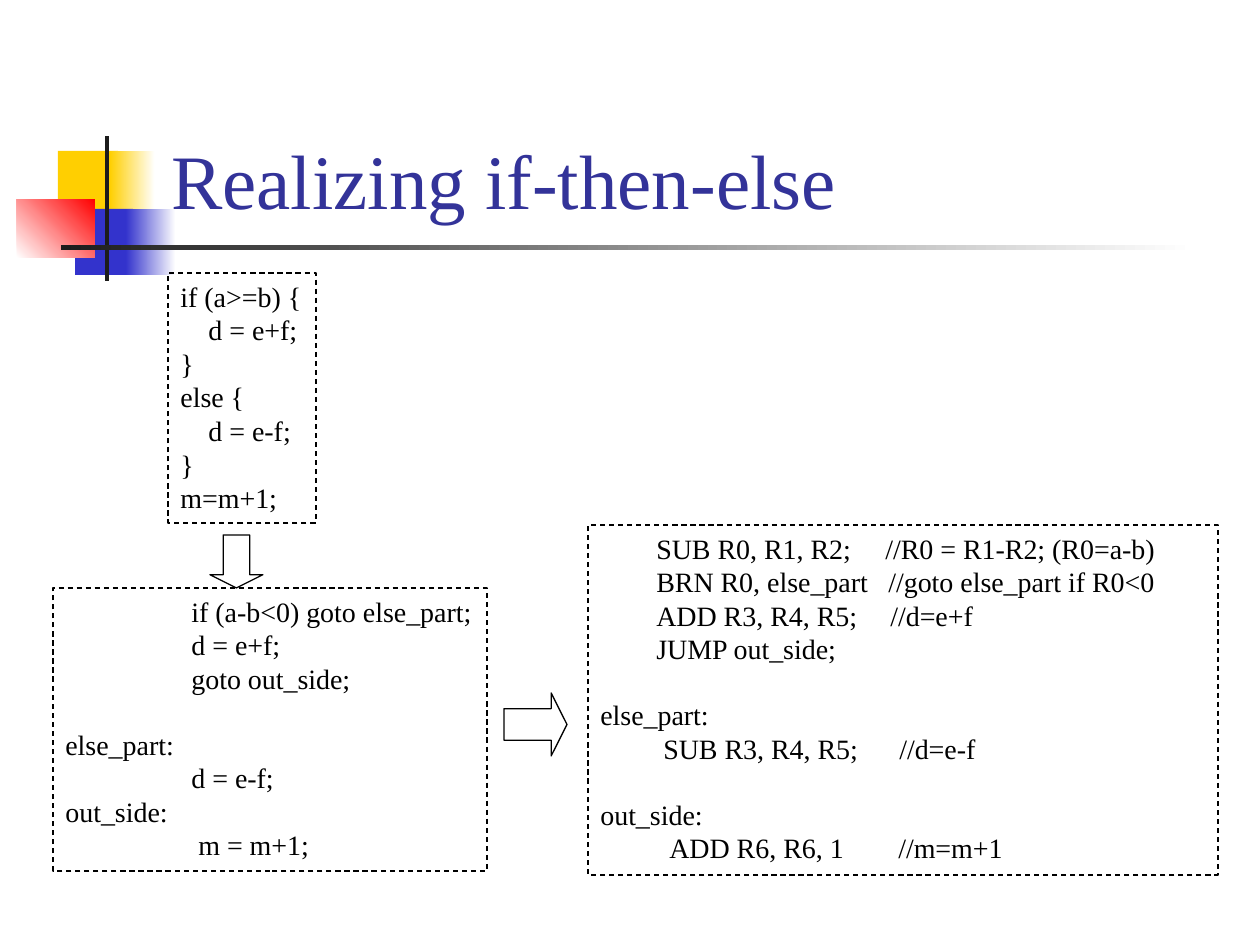
from lxml import etree
from pptx import Presentation
from pptx.dml.color import RGBColor
from pptx.enum import dml, shapes, text
from pptx.oxml.ns import qn
from pptx.util import Pt

PX = 914400 // 126
FONT = "Times New Roman"
BLACK = RGBColor(0, 0, 0)
WHITE = RGBColor(0xFF, 0xFF, 0xFF)
YELLOW = RGBColor(0xFF, 0xCF, 0x01)
BLUE = RGBColor(0x33, 0x33, 0xCC)
RED = RGBColor(0xFF, 0, 0)
CHARCOAL = RGBColor(0x1C, 0x1C, 0x1C)
NAVY = RGBColor(0x33, 0x33, 0x99)
CODE_SIZE = Pt(16)
BLANK_LINE = Pt(18.4)


def add_shape(slide, kind, box):
    sp = slide.shapes.add_shape(kind, *(v * PX for v in box))
    sp.shadow.inherit = False
    return sp


def add_block(slide, box, start, end=None, angle=0):
    sp = add_shape(slide, shapes.MSO_SHAPE.RECTANGLE, box)
    sp.line.fill.background()
    if end is None:
        sp.fill.solid()
        sp.fill.fore_color.rgb = start
        return
    sp.fill.gradient()
    sp.fill.gradient_angle = angle
    for stop, color, position in zip(sp.fill.gradient_stops, (start, end), (0, 1)):
        stop.color.rgb = color
        stop.position = position


def add_outline(slide, kind, box):
    sp = add_shape(slide, kind, box)
    sp.fill.background()
    sp.line.color.rgb = BLACK
    sp.line.width = Pt(0.75)
    return sp


def add_ornament(slide, left, top):
    blocks = [
        ((41, 15, 60, 66), YELLOW),
        ((93, 15, 45, 66), YELLOW, WHITE),
        ((58, 73, 58, 66), BLUE),
        ((109, 73, 50, 66), BLUE, WHITE),
        ((0, 63, 78, 59), WHITE, RED, 45),
        ((88, 0, 4, 145), CHARCOAL),
        ((44, 109, 1134, 5), CHARCOAL, WHITE),
    ]
    for (x, y, w, h), *paint in blocks:
        add_block(slide, (left + x, top + y, w, h), *paint)


def add_title(slide, box, title):
    tf = slide.shapes.add_textbox(*(v * PX for v in box)).text_frame
    tf.word_wrap = True
    tf.vertical_anchor = text.MSO_ANCHOR.BOTTOM
    p = tf.paragraphs[0]
    p.text = title
    p.font.name = FONT
    p.font.size = Pt(44)
    p.font.color.rgb = NAVY


def set_tabs(p, stops):
    tabs = etree.SubElement(p._p.get_or_add_pPr(), qn("a:tabLst"))
    for stop in stops:
        etree.SubElement(tabs, qn("a:tab"), pos=str(stop * PX), algn="l")


def add_code(slide, box, groups):
    sp = add_outline(slide, shapes.MSO_SHAPE.RECTANGLE, box)
    sp.line.dash_style = dml.MSO_LINE.DASH
    tf = sp.text_frame
    tf.word_wrap = True
    tf.margin_right = 0
    tf.vertical_anchor = text.MSO_ANCHOR.TOP
    p = tf.paragraphs[0]
    for g, lines in enumerate(groups):
        for n, (line, *stops) in enumerate(lines):
            if g or n:
                p = tf.add_paragraph()
            p.text = line
            p.alignment = text.PP_ALIGN.LEFT
            if stops:
                set_tabs(p, stops)
            p.font.name = FONT
            p.font.size = CODE_SIZE
            p.font.color.rgb = BLACK
            if g and not n:
                p.space_before = BLANK_LINE


def add_arrow(slide, kind, box):
    sp = add_outline(slide, kind, box)
    sp.adjustments[0] = 0.5
    sp.adjustments[1] = 0.25


SOURCE = [[("if (a>=b) {",), ("\td = e+f;", 28), ("}",), ("else {",),
           ("\td = e-f;", 28), ("}",), ("m=m+1;",)]]
GOTO = [
    [("\tif (a-b<0) goto else_part;", 126), ("\td = e+f;", 126),
     ("\tgoto out_side;", 126)],
    [("else_part:",), ("\td = e-f;", 126), ("out_side:",), ("\tm = m+1;", 133)],
]
ASSEMBLY = [
    [("\tSUB R0, R1, R2;\t//R0 = R1-R2; (R0=a-b)", 56, 285),
     ("\tBRN R0, else_part\t//goto else_part if R0<0", 56, 288),
     ("\tADD R3, R4, R5;\t//d=e+f", 56, 290),
     ("\tJUMP out_side;", 56)],
    [("else_part:",), ("\tSUB R3, R4, R5;\t//d=e-f", 63, 299)],
    [("out_side:",), ("\tADD R6, R6, 1\t//m=m+1", 69, 298)],
]

prs = Presentation()
prs.slide_width = 1260 * PX
prs.slide_height = 945 * PX
slide = prs.slides.add_slide(prs.slide_layouts[6])

add_ornament(slide, 17, 136)
add_title(slide, (159, 29, 1074, 202), "Realizing if-then-else")
add_code(slide, (168, 273, 148, 250), SOURCE)
add_code(slide, (53, 588, 434, 283), GOTO)
add_code(slide, (588, 525, 630, 350), ASSEMBLY)
add_arrow(slide, shapes.MSO_SHAPE.DOWN_ARROW, (210, 535, 53, 53))
add_arrow(slide, shapes.MSO_SHAPE.RIGHT_ARROW, (504, 693, 63, 63))

prs.save("out.pptx")
